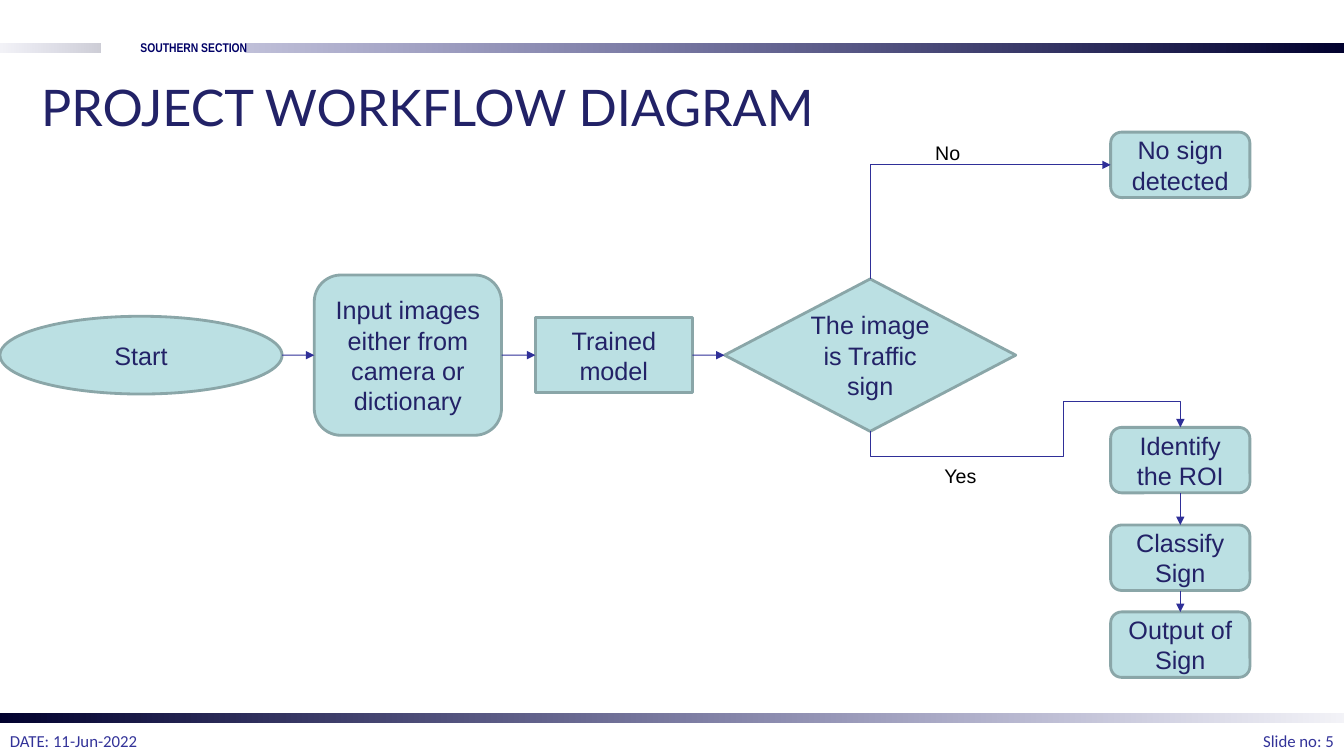
from lxml import etree
from pptx import Presentation
from pptx.dml.color import RGBColor
from pptx.enum.shapes import MSO_CONNECTOR as Wire, MSO_SHAPE as Form
from pptx.enum.text import MSO_ANCHOR as Anchor, PP_ALIGN as Align
from pptx.oxml.ns import qn
from pptx.util import Cm, Pt

WIDTH, HEIGHT = 33.87, 19.05
NAVY, BLUE, DARK, DEEP = "222267", "333399", "00002F", "000066"
PALE, EDGE, WIRE = "BBE0E3", "8AA6A8", "2F2F98"

# left, top, width, then (colour, opacity in percent) at each end
BAR = 0.23
BARS = [
    (0, 17.98, WIDTH, (DARK, 100), (DEEP, 5)),
    (0, 1.09, 2.54, (DEEP, 5), (DARK, 20)),
    (6.2, 1.09, 27.67, (DEEP, 25), (DARK, 100)),
]

# text, box, format
TEXTS = [
    ("DATE: 11-Jun-2022", (0, 18.29, 3.76, 0.76),
     dict(size=12, font="Calibri", color=BLUE, wrap=False)),
    ("Slide no: 5", (31.25, 18.29, 2.62, 0.76),
     dict(size=12, font="Calibri", color=BLUE, wrap=False, align=Align.RIGHT)),
    ("SOUTHERN SECTION", (3.25, 0.89, 3.23, 0.64),
     dict(size=9, font="Arial Narrow", color=DEEP, bold=True, wrap=False,
          align=Align.RIGHT)),
    ("PROJECT WORKFLOW DIAGRAM", (0.79, 1.8, 20.17, 2.21),
     dict(size=36, font="Lato")),
    ("No", (23.32, 3.43, 2.57, 0.86), dict(size=14, color="000000")),
    ("Yes", (23.55, 11.56, 2.11, 0.86), dict(size=14, color="000000")),
]

# main row, centred on one height: text, form, left, width, height
MID = 8.95
ROW = [
    ("Start", Form.OVAL, 0, 7.11, 1.96),
    ("Input images either from camera or dictionary",
     Form.ROUNDED_RECTANGLE, 7.92, 4.72, 4.04),
    ("Trained model", Form.RECTANGLE, 13.49, 3.96, 1.9),
    ("The image is Traffic sign", Form.DIAMOND, 18.26, 7.34, 3.84),
]

# right column, boxes of one size: text, top
COL, COL_W, COL_H = 27.99, 3.51, 1.65
REJECT = ("No sign detected", 3.33)
STEPS = [("Identify the ROI", 10.77), ("Classify Sign", 13.23),
         ("Output of Sign", 15.42)]

TOP, LEFT, BOTTOM, RIGHT = range(4)  # connection sites
OVAL_RIGHT = 6
STUB = 0.64  # how far the Yes arrow runs past each box
BEND = 26.8  # where the Yes arrow turns up

deck = Presentation()
deck.slide_width, deck.slide_height = Cm(WIDTH), Cm(HEIGHT)
slide = deck.slides.add_slide(deck.slide_layouts[6])
shapes = slide.shapes


def rgb(code):
    return RGBColor.from_string(code)


def write(shape, text, size=18, font="Arial", color=NAVY, bold=False,
          wrap=True, align=Align.LEFT, anchor=Anchor.TOP):
    frame = shape.text_frame
    frame.word_wrap, frame.vertical_anchor = wrap, anchor
    para = frame.paragraphs[0]
    para.alignment = align
    run = para.add_run()
    run.text = text
    run.font.size, run.font.name, run.font.bold = Pt(size), font, bold
    run.font.color.rgb = rgb(color)


def add_form(form, *box):
    shape = shapes.add_shape(form, *map(Cm, box))
    shape.shadow.inherit = False
    return shape


def add_bar(left, top, width, *ends):
    bar = add_form(Form.RECTANGLE, left, top, width, BAR)
    bar.line.fill.background()
    bar.fill.gradient()
    bar.fill.gradient_angle = 0
    for stop, place, (color, _) in zip(bar.fill.gradient_stops, (0, 1), ends):
        stop.position, stop.color.rgb = place, rgb(color)
    tints = list(bar._element.spPr.iter(qn("a:srgbClr")))
    for tint, (_, alpha) in zip(tints, ends):
        etree.SubElement(tint, qn("a:alpha")).set("val", str(alpha * 1000))


def add_node(text, form, *box):
    node = add_form(form, *box)
    node.fill.solid()
    node.fill.fore_color.rgb = rgb(PALE)
    node.line.color.rgb, node.line.width = rgb(EDGE), Pt(2)
    write(node, text, align=Align.CENTER, anchor=Anchor.MIDDLE)
    return node


def add_wire(kind, start, end):
    """Draw an arrow between two (x, y) points given in cm."""
    wire = shapes.add_connector(kind, *map(Cm, start + end))
    wire.line.color.rgb, wire.line.width = rgb(WIRE), Pt(0.75)
    line = wire.line._get_or_add_ln()
    etree.SubElement(line, qn("a:tailEnd")).set("type", "triangle")
    etree.SubElement(wire._element.spPr, qn("a:effectLst"))
    return wire


def link(one, two, out, into):
    """Glue a straight arrow to a site on each of two nodes."""
    wire = add_wire(Wire.STRAIGHT, (0, 0), (1, 1))
    wire.begin_connect(one, out)
    wire.end_connect(two, into)
    if one.auto_shape_type == Form.OVAL:
        start = next(wire._element.iter(qn("a:stCxn")))
        start.set("idx", str(OVAL_RIGHT))


def turn(start, end, preset, *bends):
    """Draw an elbow arrow that leaves vertically, by a quarter turn."""
    mid_x, mid_y = (start[0] + end[0]) / 2, (start[1] + end[1]) / 2
    dx, dy = start[0] - mid_x, start[1] - mid_y
    wire = add_wire(Wire.ELBOW, (mid_x + dy, mid_y - dx),
                    (mid_x - dy, mid_y + dx))
    props = wire._element.spPr
    props.find(qn("a:xfrm")).set("rot", "5400000")
    shape = props.find(qn("a:prstGeom"))
    shape.set("prst", preset)
    guides = shape.find(qn("a:avLst"))
    for index, bend in enumerate(bends, 1):
        guide = etree.SubElement(guides, qn("a:gd"))
        guide.set("name", f"adj{index}")
        guide.set("fmla", f"val {round(bend * 100000)}")


for bar in BARS:
    add_bar(*bar)
for text, box, style in TEXTS:
    write(shapes.add_textbox(*map(Cm, box)), text, **style)

row = [add_node(text, form, left, MID - high / 2, wide, high)
       for text, form, left, wide, high in ROW]
reject, *steps = [add_node(text, Form.ROUNDED_RECTANGLE, COL, top, COL_W, COL_H)
                  for text, top in [REJECT] + STEPS]

for one, two in zip(row, row[1:]):
    link(one, two, RIGHT, LEFT)
for one, two in zip(steps, steps[1:]):
    link(one, two, BOTTOM, TOP)

_, _, left, wide, high = ROW[-1]
fork = left + wide / 2
turn((fork, MID - high / 2), (COL, REJECT[1] + COL_H / 2), "bentConnector2")

start, end = (fork, MID + high / 2), (COL + COL_W / 2, STEPS[0][1])
reach = STUB / (start[1] - end[1])
turn(start, end, "bentConnector5",
     -reach, (BEND - start[0]) / (end[0] - start[0]), 1 + reach)

deck.save("out.pptx")
